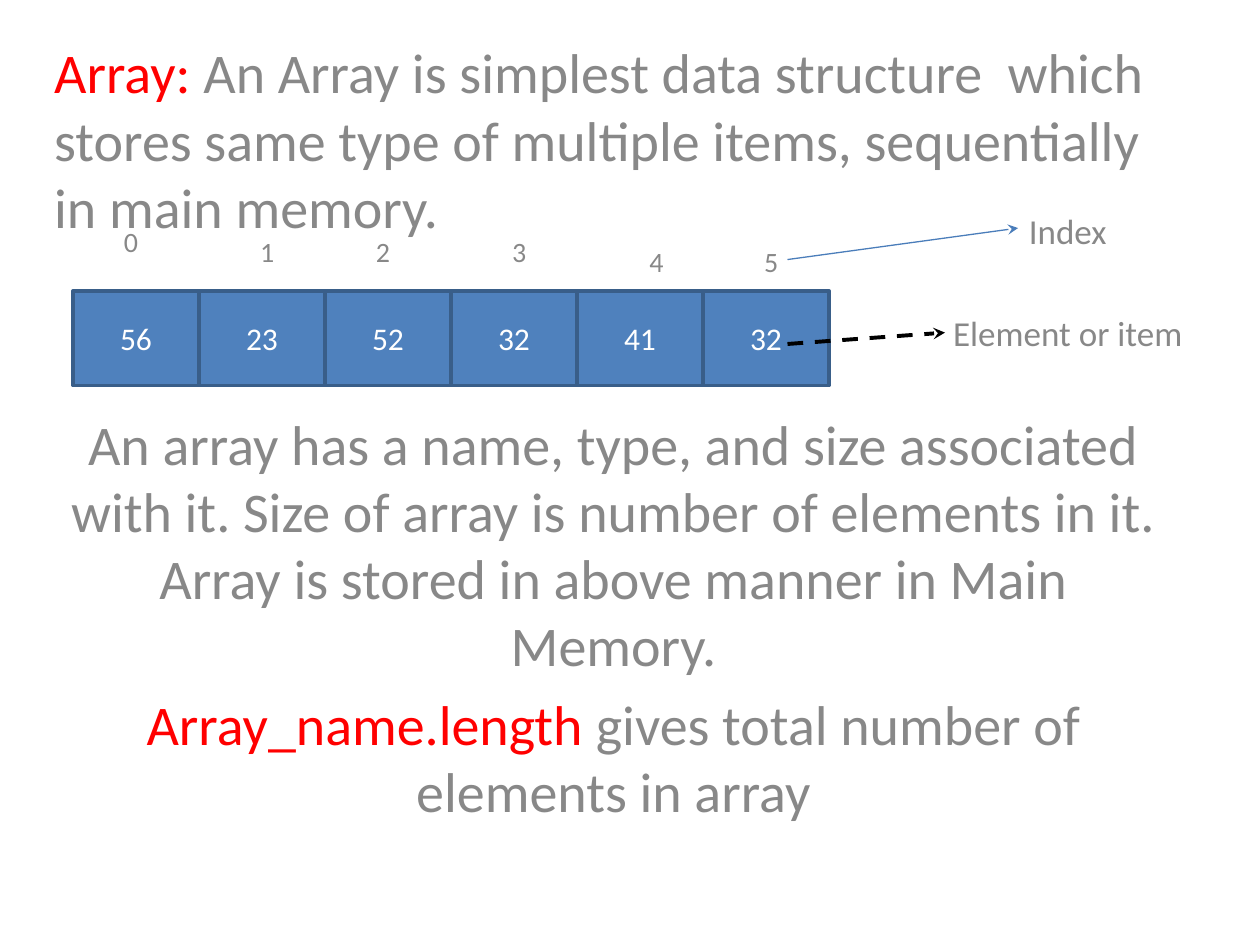
from lxml.etree import SubElement
from pptx import Presentation
from pptx.dml.color import RGBColor
from pptx.enum.dml import MSO_LINE_DASH_STYLE as Dash
from pptx.enum.shapes import MSO_CONNECTOR_TYPE as Connector, MSO_SHAPE as Shape
from pptx.enum.text import MSO_ANCHOR as Anchor, MSO_AUTO_SIZE as AutoSize, PP_ALIGN as Align
from pptx.oxml.ns import qn
from pptx.util import Inches, Pt

RED, GREY, WHITE, BLACK = "FF0000", "888888", "FFFFFF", "000000"
CELL_FILL, CELL_LINE, INDEX_LINE = "4F81BD", "395E89", "4A7DBA"


def color(hex_value):
    return RGBColor.from_string(hex_value)


class ArraySlide:
    font_name = "Calibri"

    def __init__(self, slide):
        self.slide = slide
        self.shapes = slide.shapes

    def add_run(self, paragraph, text, size, hex_value):
        run = paragraph.add_run()
        run.text = text
        run.font.name = self.font_name
        run.font.size = Pt(size)
        run.font.color.rgb = color(hex_value)

    def body(self, left, top, width, height, paragraphs):
        """Fill the subtitle with (alignment, space before, runs) paragraphs."""
        body = self.slide.placeholders[1]
        body.left, body.top = Inches(left), Inches(top)
        body.width, body.height = Inches(width), Inches(height)
        frame = body.text_frame
        frame.auto_size = AutoSize.NONE
        for number, (alignment, space_before, runs) in enumerate(paragraphs):
            paragraph = frame.add_paragraph() if number else frame.paragraphs[0]
            paragraph.alignment = alignment
            paragraph.space_before = Pt(space_before)
            for text, hex_value in runs:
                self.add_run(paragraph, text, 32, hex_value)

    def cell(self, left, top, width, height, value):
        cell = self.shapes.add_shape(
            Shape.RECTANGLE, Inches(left), Inches(top), Inches(width), Inches(height))
        cell.shadow.inherit = False
        cell.fill.solid()
        cell.fill.fore_color.rgb = color(CELL_FILL)
        cell.line.color.rgb = color(CELL_LINE)
        cell.line.width = Pt(2)
        cell.text_frame.vertical_anchor = Anchor.MIDDLE
        paragraph = cell.text_frame.paragraphs[0]
        paragraph.alignment = Align.CENTER
        self.add_run(paragraph, value, 18, WHITE)

    def label(self, left, top, width, height, text, size):
        label = self.shapes.add_textbox(
            Inches(left), Inches(top), Inches(width), Inches(height))
        label.text_frame.word_wrap = True
        paragraph = label.text_frame.paragraphs[0]
        paragraph.alignment = Align.CENTER
        self.add_run(paragraph, text, size, GREY)

    def arrow(self, start, end, hex_value, width, dash=None):
        arrow = self.shapes.add_connector(
            Connector.STRAIGHT, *(Inches(value) for value in start + end))
        arrow.line.color.rgb = color(hex_value)
        arrow.line.width = Pt(width)
        if dash:
            arrow.line.dash_style = dash
        SubElement(arrow.line._get_or_add_ln(), qn("a:tailEnd"), type="stealth")
        SubElement(arrow._element.spPr, qn("a:effectLst"))


def main():
    presentation = Presentation()
    presentation.slide_width, presentation.slide_height = Inches(10), Inches(7.5)
    slide = presentation.slides.add_slide(presentation.slide_layouts[0])
    title = slide.shapes.title._element
    title.getparent().remove(title)
    page = ArraySlide(slide)

    # Definition above the diagram, explanation below it
    page.body(0.33, 0.25, 9.08, 7, [
        (Align.LEFT, 0, [
            ("Array: ", RED),
            ("An Array is simplest data structure  which stores same type of "
             "multiple items, sequentially in main memory.", GREY)]),
        (Align.CENTER, 97, [
            ("An array has a name, type, and size associated with it. Size of array is "
             "number of elements in it. Array is stored in above manner in Main Memory.",
             GREY)]),
        (Align.CENTER, 6.4, [
            ("Array_name.length", RED),
            (" gives total number of elements in array", GREY)]),
    ])

    # Array cells
    for position, value in enumerate(["56", "23", "52", "32", "41", "32"]):
        page.cell(0.58 + position, 2.31, 1, 0.75, value)

    # Index numbers, placed by hand over the cells
    index_places = [(0.5, 1.73), (1.58, 1.81), (2.5, 1.81),
                    (3.58, 1.81), (4.67, 1.89), (5.58, 1.89)]
    for index, (left, top) in enumerate(index_places):
        page.label(left, top, 1.08, 0.58, str(index), 16)

    # Callouts
    page.label(7.39, 1.61, 2.17, 0.67, "Index", 20)
    page.arrow((6.25, 2.06), (8.08, 1.81), INDEX_LINE, 0.75)
    page.label(7.39, 2.42, 2.17, 0.67, "Element or item", 20)
    page.arrow((6.25, 2.73), (7.5, 2.64), BLACK, 2.25, Dash.DASH)

    presentation.save("out.pptx")


if __name__ == "__main__":
    main()
